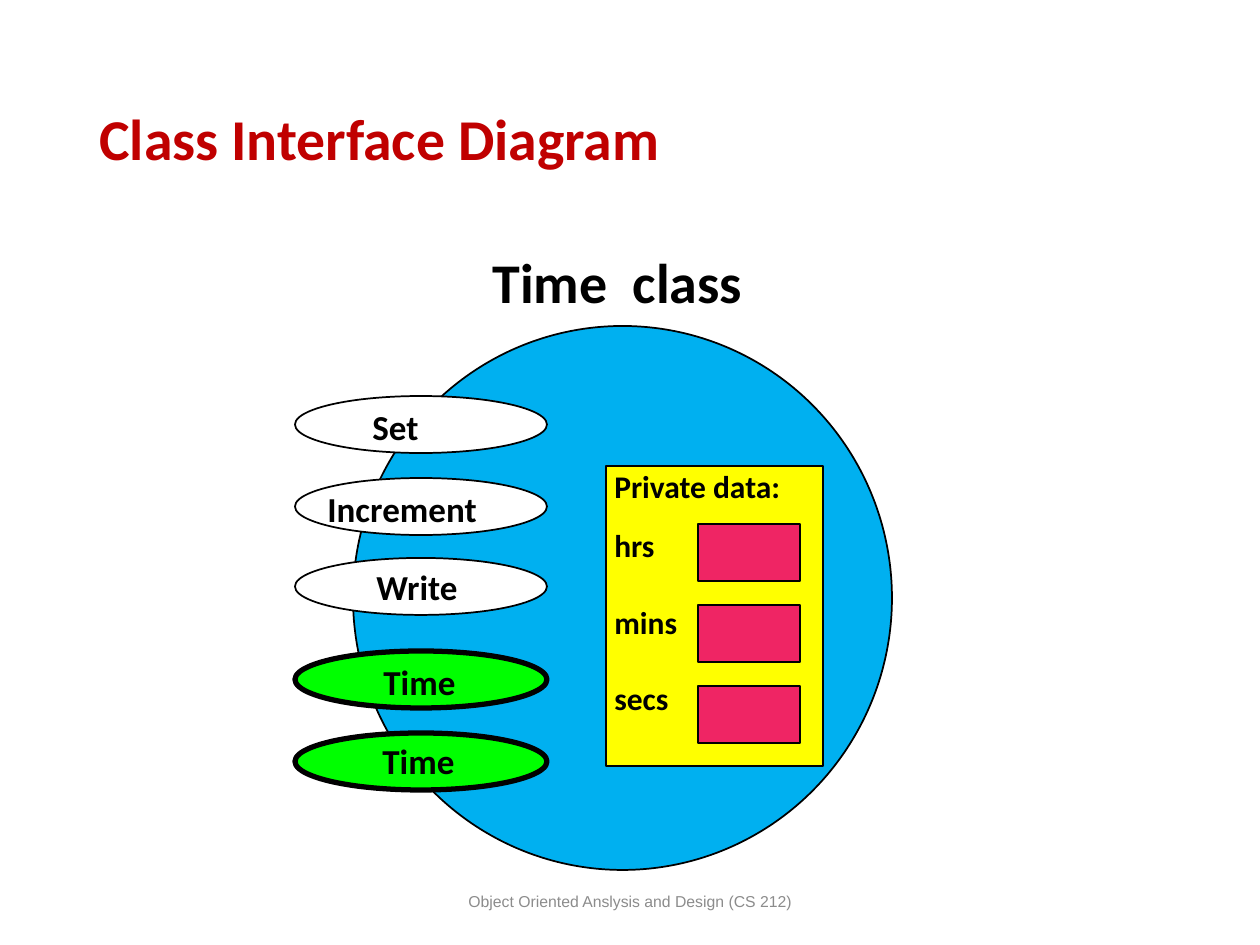
import pptx
import pptx.util
import pptx.dml.color
import pptx.enum.shapes
import pptx.enum.text

RGB = pptx.dml.color.RGBColor
SHAPE = pptx.enum.shapes.MSO_SHAPE
ANCHOR = pptx.enum.text.MSO_ANCHOR
ALIGN = pptx.enum.text.PP_ALIGN

BLACK = RGB(0x00, 0x00, 0x00)
WHITE = RGB(0xFF, 0xFF, 0xFF)
RED = RGB(0xC0, 0x00, 0x00)
BLUE = RGB(0x00, 0xB0, 0xF0)
GREEN = RGB(0x00, 0xFF, 0x00)
YELLOW = RGB(0xFF, 0xFF, 0x00)
PINK = RGB(0xEF, 0x25, 0x64)
GRAY = RGB(0x8C, 0x8C, 0x8C)

PX = 914400 // 126  # one px in EMU

# Content: label, oval top, fill, line width, label box (left, top, width)
METHODS = [
    ("Set", 396, WHITE, 1, (360, 399, 76)),
    ("Increment", 478, WHITE, 1, (315, 481, 183)),
    ("Write", 558, WHITE, 1, (364, 559, 111)),
    ("Time", 651, GREEN, 3, (371, 654, 101)),
    ("Time", 733, GREEN, 3, (370, 733, 101)),
]
# Text and the space before it, in points
PRIVATE_DATA = [("Private data:", 0), ("hrs", 12.2), ("mins", 22), ("secs", 22)]
FIELD_TOP, FIELD_STEP = 524, 81


def add_shape(s, kind, box, fill, line=1):
    sp = s.shapes.add_shape(kind, *[v * PX for v in box])
    sp.shadow.inherit = False
    sp.fill.solid()
    sp.fill.fore_color.rgb = fill
    sp.line.color.rgb = BLACK
    sp.line.width = pptx.util.Pt(line)
    return sp


def add_text(s, box, text, size, color=BLACK, font="Calibri", bold=True, wrap=False):
    tf = s.shapes.add_textbox(*[v * PX for v in box]).text_frame
    tf.word_wrap = wrap
    tf.text = text
    for p in tf.paragraphs:
        for r in p.runs:
            r.font.size = pptx.util.Pt(size)
            r.font.name = font
            r.font.bold = bold
            r.font.color.rgb = color
    return tf


prs = pptx.Presentation()
prs.slide_width = 1260 * PX
prs.slide_height = 945 * PX
s = prs.slides.add_slide(prs.slide_layouts[6])

# Class circle and headings
add_shape(s, SHAPE.OVAL, (353, 326, 539, 544), BLUE)
tf = add_text(s, (87, 50, 1086, 183), "Class Interface Diagram", 33, RED, wrap=True)
tf.vertical_anchor = ANCHOR.MIDDLE
tf.paragraphs[0].line_spacing = 0.9
add_text(s, (480, 241, 285, 81), "Time  class", 32)

# Methods on the edge of the class
for label, top, fill, line, (x, y, w) in METHODS:
    add_shape(s, SHAPE.OVAL, (295, top, 252, 57), fill, line)
    add_text(s, (x, y, w, 55), label, 20)

# Private data panel
add_shape(s, SHAPE.RECTANGLE, (606, 466, 217, 300), YELLOW)
tf = add_text(s, (602, 461, 202, 261), "\n".join(t for t, _ in PRIVATE_DATA), 18)
for p, (_, gap) in zip(tf.paragraphs, PRIVATE_DATA):
    p.space_before = pptx.util.Pt(gap)
for i in range(len(PRIVATE_DATA) - 1):
    add_shape(s, SHAPE.RECTANGLE, (698, FIELD_TOP + i * FIELD_STEP, 102, 57), PINK)

# Footer
tf = add_text(s, (417, 876, 426, 50), "Object Oriented Anslysis and Design (CS 212)",
              9, GRAY, "Arial", bold=False, wrap=True)
tf.vertical_anchor = ANCHOR.MIDDLE
tf.paragraphs[0].alignment = ALIGN.CENTER

prs.save("out.pptx")
